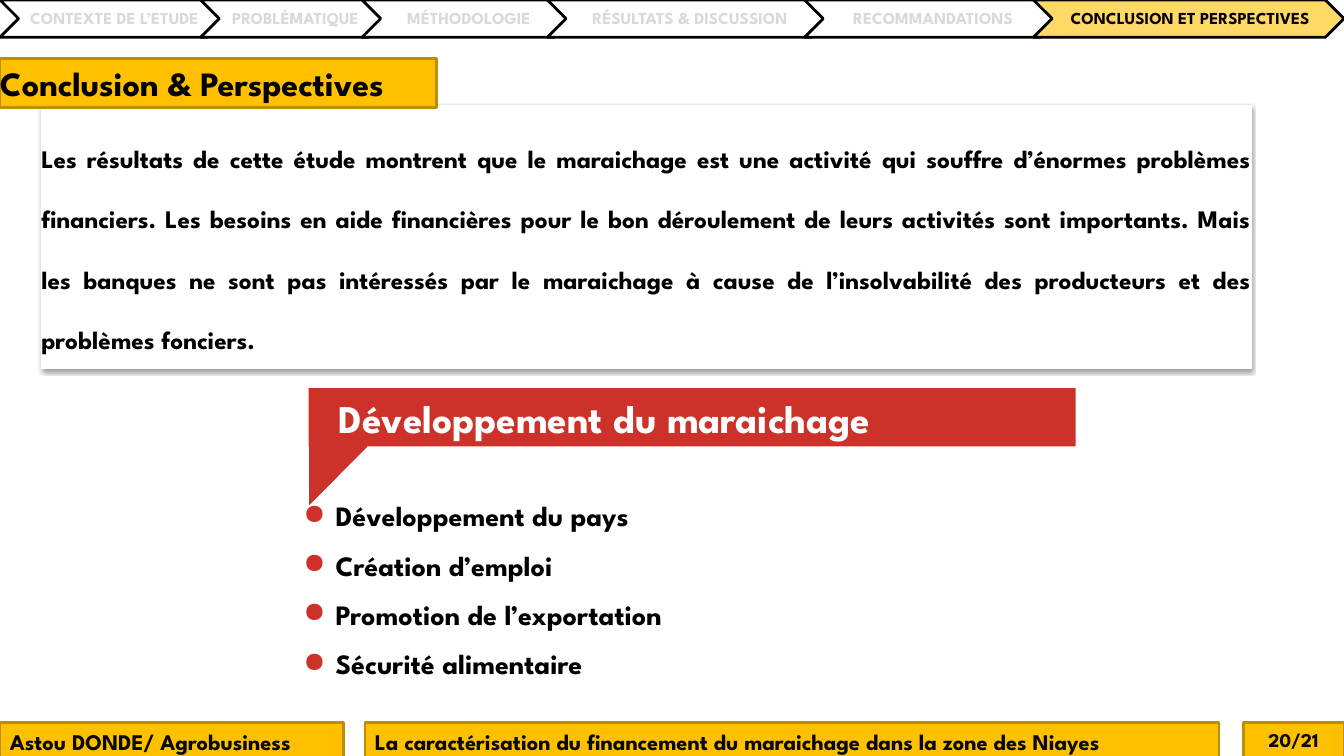
from lxml import etree
from pptx import Presentation
from pptx.dml.color import RGBColor
from pptx.enum.shapes import MSO_SHAPE
from pptx.enum.text import MSO_ANCHOR, PP_ALIGN
from pptx.oxml.ns import qn
from pptx.util import Inches, Pt

RECTANGLE, CHEVRON, TRIANGLE = MSO_SHAPE.RECTANGLE, MSO_SHAPE.CHEVRON, MSO_SHAPE.ISOSCELES_TRIANGLE
TOP, MIDDLE = MSO_ANCHOR.TOP, MSO_ANCHOR.MIDDLE
LEFT, CENTER, JUSTIFY = PP_ALIGN.LEFT, PP_ALIGN.CENTER, PP_ALIGN.JUSTIFY

BLACK = RGBColor(0x00, 0x00, 0x00)
WHITE = RGBColor(0xFF, 0xFF, 0xFF)
INK = RGBColor(0x08, 0x08, 0x08)
GREY = RGBColor(0xD9, 0xD9, 0xD9)
RED = RGBColor(0xCC, 0x32, 0x29)
GOLD = RGBColor(0xFF, 0xC0, 0x00)
DARK_GOLD = RGBColor(0xBD, 0x8E, 0x00)
PALE_GOLD = RGBColor(0xFF, 0xD9, 0x66)

SECTIONS = [
    ("CONTEXTE DE L’ETUDE", 2.24),
    ("PROBLÉMATIQUE", 1.85),
    ("MÉTHODOLOGIE", 2.09),
    ("RÉSULTATS & DISCUSSION", 2.8),
    ("RECOMMANDATIONS", 2.52),
    ("CONCLUSION ET PERSPECTIVES", 3.08),
]
CURRENT_SECTION = "CONCLUSION ET PERSPECTIVES"
STEP_HEIGHT = 0.37
STEP_OVERLAP = 0.25
CONCLUSION = (
    "Les résultats de cette étude montrent que le maraichage est une activité qui souffre "
    "d’énormes problèmes financiers. Les besoins en aide financières pour le bon déroulement "
    "de leurs activités sont importants. Mais les banques ne sont pas intéressés par le "
    "maraichage à cause de l’insolvabilité des producteurs et des problèmes fonciers."
)
PERSPECTIVES = ["Développement du pays", "Création d’emploi",
                "Promotion de l’exportation", "Sécurité alimentaire"]
FOOTER_TOP = 7.17


class SlideBuilder:
    font_name = "League Spartan"

    def __init__(self, slide):
        self.slide = slide

    def shape(self, kind, box, fill, line=None, line_width=2):
        shape = self.slide.shapes.add_shape(kind, *map(Inches, box))
        shape.shadow.inherit = False
        shape.fill.solid()
        shape.fill.fore_color.rgb = fill
        if line is None:
            shape.line.fill.background()
        else:
            shape.line.color.rgb = line
            shape.line.width = Pt(line_width)
        return shape

    def set_text(self, shape, lines, size, color, align=LEFT, anchor=MIDDLE,
                 insets=(0.1, 0.05, 0.1, 0.05), spacing=1.0, before=0, after=0):
        """Fill a shape with bold paragraphs; insets are left, top, right, bottom."""
        frame = shape.text_frame
        frame.word_wrap = True
        frame.vertical_anchor = anchor
        (frame.margin_left, frame.margin_top,
         frame.margin_right, frame.margin_bottom) = map(Inches, insets)
        frame.text = "\n".join(lines)
        for paragraph in frame.paragraphs:
            paragraph.alignment = align
            paragraph.line_spacing = spacing
            paragraph.space_before = Pt(before)
            paragraph.space_after = Pt(after)
            paragraph.font.name = self.font_name
            paragraph.font.size = Pt(size)
            paragraph.font.bold = True
            paragraph.font.color.rgb = color

    def text_box(self, box, lines, size, color, **style):
        text_box = self.slide.shapes.add_textbox(*map(Inches, box))
        self.set_text(text_box, lines, size, color, **style)
        return text_box

    def gold_bar(self, box, text, size, color, **style):
        bar = self.shape(RECTANGLE, box, GOLD, DARK_GOLD)
        self.set_text(bar, [text], size, color, **style)

    def progress_bar(self):
        left = 0
        point = STEP_HEIGHT / 2
        for title, width in SECTIONS:
            current = title == CURRENT_SECTION
            self.shape(CHEVRON, (left, 0, width, STEP_HEIGHT),
                       PALE_GOLD if current else WHITE, BLACK)
            self.text_box((left + point, 0, width - 2 * point, STEP_HEIGHT), [title], 12,
                          BLACK if current else GREY, align=CENTER,
                          insets=(0.05, 0.02, 0.02, 0.02), spacing=0.9, after=4.2)
            left += width - STEP_OVERLAP

    def bullet_list(self, box, lines):
        text_box = self.text_box(box, lines, 20, BLACK, anchor=TOP, spacing=1.3, before=4)
        for paragraph in text_box.text_frame.paragraphs:
            properties = paragraph._p.get_or_add_pPr()
            properties.set("marL", str(Inches(0.32)))
            properties.set("indent", str(-Inches(0.32)))
            bullet_color = etree.Element(qn("a:buClr"))
            etree.SubElement(bullet_color, qn("a:srgbClr"), val=str(RED))
            bullet = etree.Element(qn("a:buChar"), char="●")
            spacing_after = properties.find(qn("a:spcAft"))
            spacing_after.addnext(bullet_color)
            bullet_color.addnext(bullet)

    def drop_shadow(self, shape):
        effects = shape._element.spPr.find(qn("a:effectLst"))
        shadow = etree.SubElement(effects, qn("a:outerShdw"), blurRad=str(Pt(3.1)),
                                  dist=str(Pt(1.6)), dir="5400000", rotWithShape="0")
        color = etree.SubElement(shadow, qn("a:srgbClr"), val=str(BLACK))
        etree.SubElement(color, qn("a:alpha"), val="38000")


def main():
    presentation = Presentation()
    presentation.slide_width = Inches(13.33)
    presentation.slide_height = Inches(7.5)
    builder = SlideBuilder(presentation.slides.add_slide(presentation.slide_layouts[6]))

    conclusion = builder.shape(RECTANGLE, (0.41, 1.05, 12, 2.61), WHITE, WHITE, 0.75)
    builder.drop_shadow(conclusion)
    builder.set_text(conclusion, [CONCLUSION], 18, BLACK, align=JUSTIFY, anchor=TOP,
                     insets=(0, 0.07, 0, 0.07), spacing=2.0, before=3.6)

    builder.progress_bar()

    builder.bullet_list((2.91, 4.8, 8.4, 2.67), PERSPECTIVES)
    ribbon_fold = builder.shape(TRIANGLE, (2.77, 4.14, 1.17, 0.58), RED)
    ribbon_fold.rotation = 90
    ribbon = builder.shape(RECTANGLE, (3.06, 3.85, 7.61, 0.58), RED)
    builder.set_text(ribbon, ["Développement du maraichage"], 28, WHITE,
                     insets=(0.3, 0.05, 0.1, 0.05))

    builder.gold_bar((12.33, FOOTER_TOP, 1, 0.34), "20/21", 14, INK, align=CENTER,
                     insets=(0.13, 0.07, 0.13, 0.07))
    builder.gold_bar((0, FOOTER_TOP, 3.41, 0.37), "Astou DONDE/ Agrobusiness", 16, INK,
                     anchor=TOP)
    builder.gold_bar((3.62, FOOTER_TOP, 8.47, 0.37),
                     "La caractérisation du financement du maraichage dans la zone des Niayes",
                     16, INK, anchor=TOP)
    builder.gold_bar((0, 0.58, 4.33, 0.49), "Conclusion & Perspectives", 24.3, BLACK,
                     insets=(0, 0.07, 0, 0.07))

    presentation.save("out.pptx")


if __name__ == "__main__":
    main()
